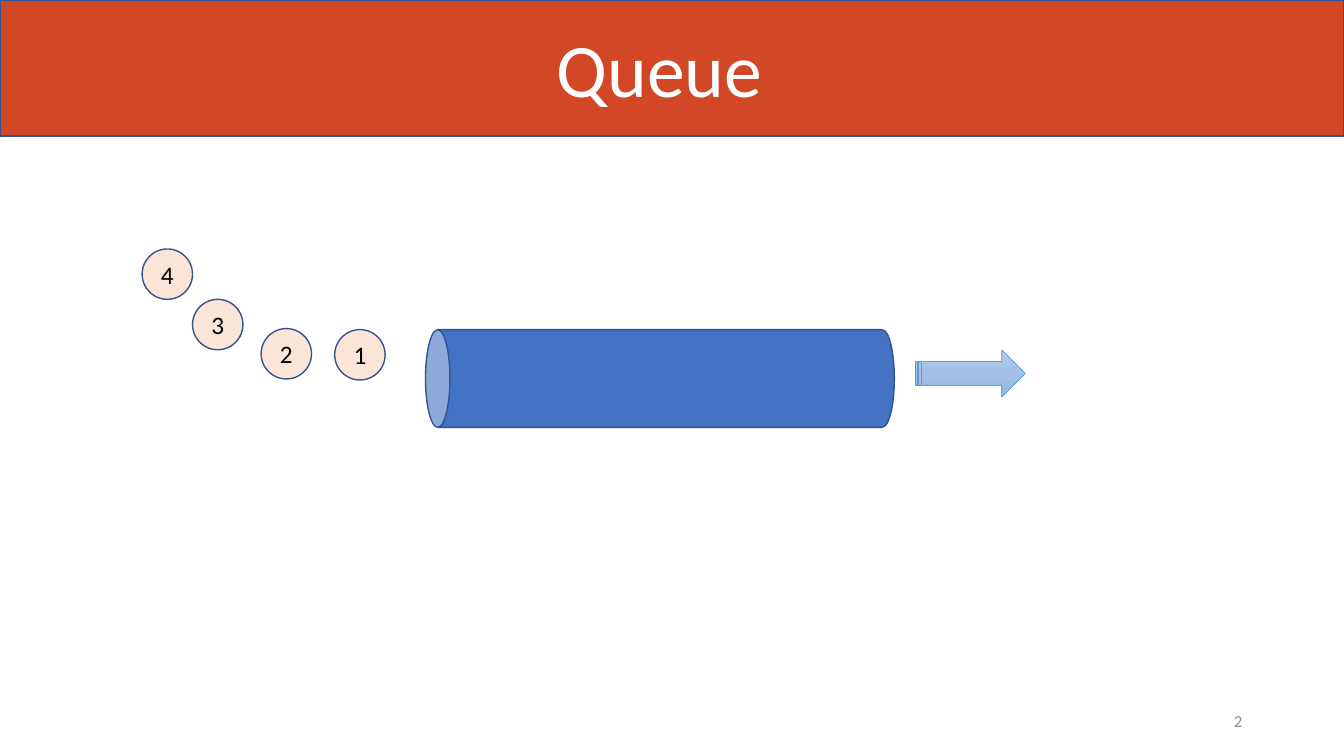
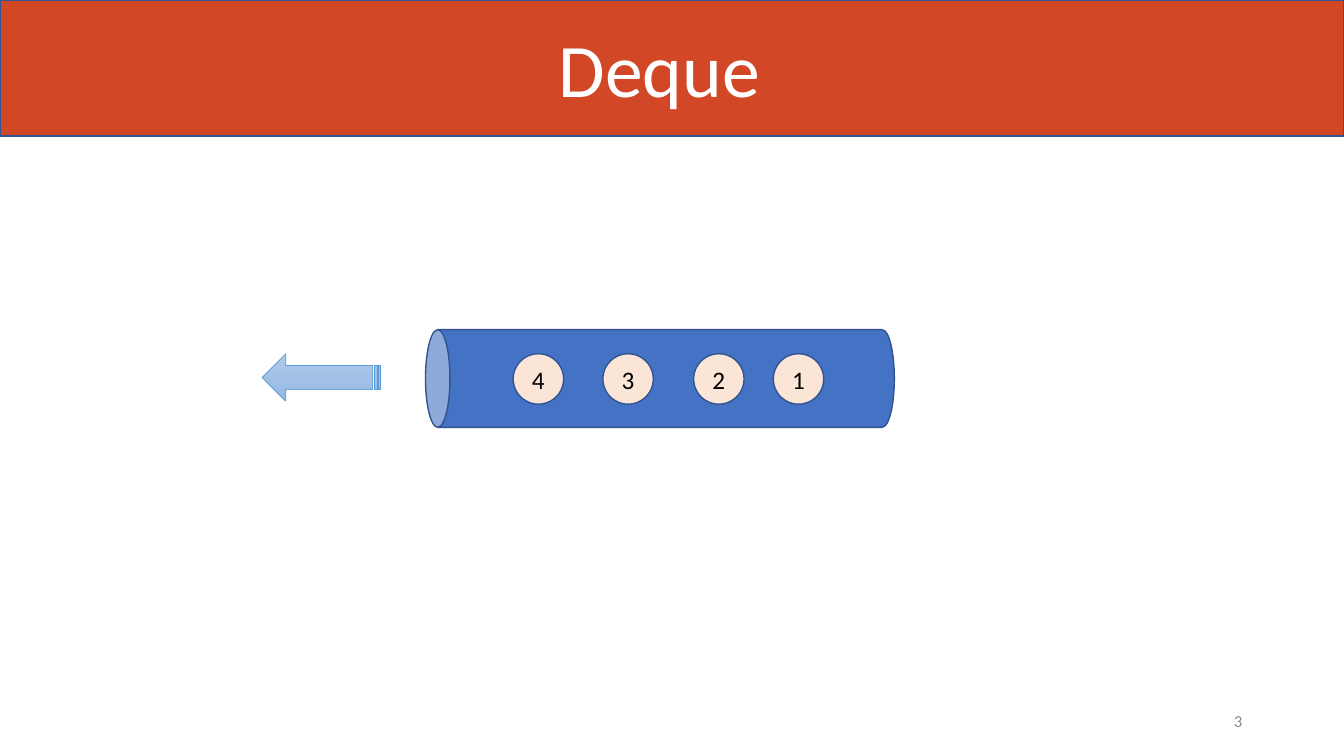
from copy import deepcopy
from dataclasses import dataclass

from pptx import Presentation
from pptx.dml.color import RGBColor
from pptx.enum.shapes import MSO_SHAPE
from pptx.enum.text import MSO_ANCHOR, MSO_AUTO_SIZE, PP_ALIGN
from pptx.oxml.ns import qn
from pptx.shapes.autoshape import Shape
from pptx.slide import Slide
from pptx.text.text import TextFrame
from pptx.util import Emu, Pt

RECTANGLE, CYLINDER, CIRCLE = MSO_SHAPE.RECTANGLE, MSO_SHAPE.CAN, MSO_SHAPE.OVAL
ARROW = MSO_SHAPE.STRIPED_RIGHT_ARROW
CENTER, RIGHT = PP_ALIGN.CENTER, PP_ALIGN.RIGHT
TOP, MIDDLE = MSO_ANCHOR.TOP, MSO_ANCHOR.MIDDLE
FIT_SHAPE = MSO_AUTO_SIZE.SHAPE_TO_FIT_TEXT

EMU_PER_PX = 9144
PAGE_WIDTH, PAGE_HEIGHT = 1333, 750
BAND_HEIGHT = 135
BALL_SIZE = 50
ARROW_HEIGHT = 47
TITLE_ONLY = 5
FONT = "Calibri"
COLORS = {
    "band": "D24726",
    "outline": "325491",
    "cylinder": "4472C4",
    "ball": "FBE5D6",
    "arrow line": "5B9BD5",
    "title": "FFFFFF",
    "label": "000000",
    "number": "8C8C8C",
}
ARROW_STOPS = ((0, "B1CBE9"), (0.5, "A3C1E5"), (1, "93B9E4"))


@dataclass(frozen=True)
class Box:
    left: int
    top: int
    width: int
    height: int

    def emu(self) -> tuple[Emu, Emu, Emu, Emu]:
        return px(self.left), px(self.top), px(self.width), px(self.height)


@dataclass(frozen=True)
class Ball:
    label: str
    left: int
    top: int


@dataclass(frozen=True)
class Page:
    title: str
    number: int
    balls: tuple[Ball, ...]
    arrow: Box
    points_left: bool = False


BAND = Box(0, 0, PAGE_WIDTH, BAND_HEIGHT)
TITLE = Box(541, 17, 226, 101)
NUMBER = Box(942, 695, 300, 40)
TUBE = Box(606, 143, 97, 465)

PAGES = (
    Page(
        "Queue",
        2,
        (Ball("1", 332, 327), Ball("2", 259, 326), Ball("3", 191, 297), Ball("4", 141, 247)),
        Box(908, 347, 109, ARROW_HEIGHT),
    ),
    Page(
        "Deque",
        3,
        tuple(Ball(str(i), left, 351) for i, left in enumerate((767, 688, 598, 509), 1)),
        Box(260, 351, 117, ARROW_HEIGHT),
        points_left=True,
    ),
)


def px(length: int) -> Emu:
    return Emu(length * EMU_PER_PX)


def rgb(name: str) -> RGBColor:
    return RGBColor.from_string(COLORS[name])


def write_text(frame: TextFrame, text: str, *, size: int, color: str,
               align: PP_ALIGN = CENTER, anchor: MSO_ANCHOR = MIDDLE,
               wrap: bool = True) -> None:
    frame.word_wrap = wrap
    frame.vertical_anchor = anchor
    para = frame.paragraphs[0]
    para.alignment = align
    span = para.add_run()
    span.text = text
    span.font.name = FONT
    span.font.size = Pt(size)
    span.font.color.rgb = rgb(color)


def add_outlined(slide: Slide, kind: MSO_SHAPE, box: Box, *, fill: str | None = None,
                 line: str = "outline", weight: float = 1) -> Shape:
    shape = slide.shapes.add_shape(kind, *box.emu())
    shape.shadow.inherit = False
    if fill:
        shape.fill.solid()
        shape.fill.fore_color.rgb = rgb(fill)
    shape.line.color.rgb = rgb(line)
    shape.line.width = Pt(weight)
    return shape


def add_header(slide: Slide, text: str) -> None:
    band = add_outlined(slide, RECTANGLE, BAND, fill="band")
    title = slide.shapes.title
    title.left, title.top, title.width, title.height = TITLE.emu()
    write_text(title.text_frame, text, size=54, color="title", anchor=TOP, wrap=False)
    title.text_frame.auto_size = FIT_SHAPE
    title.element.addprevious(band.element)


def add_number(slide: Slide, number: int) -> None:
    box = slide.shapes.add_textbox(*NUMBER.emu())
    write_text(box.text_frame, str(number), size=12, color="number", align=RIGHT)


def add_ball(slide: Slide, ball: Ball) -> None:
    box = Box(ball.left, ball.top, BALL_SIZE, BALL_SIZE)
    circle = add_outlined(slide, CIRCLE, box, fill="ball")
    write_text(circle.text_frame, ball.label, size=18, color="label")


def add_arrow(slide: Slide, box: Box, points_left: bool) -> None:
    arrow = add_outlined(slide, ARROW, box, line="arrow line", weight=0.5)
    arrow.fill.gradient()
    arrow.fill.gradient_angle = 270
    stop_list = arrow.element.spPr.find(".//" + qn("a:gsLst"))
    stop_list.append(deepcopy(stop_list[-1]))
    for stop, (position, color) in zip(arrow.fill.gradient_stops, ARROW_STOPS):
        stop.position = position
        stop.color.rgb = RGBColor.from_string(color)
    if points_left:
        arrow.element.spPr.find(qn("a:xfrm")).set("flipH", "1")


def main() -> None:
    deck = Presentation()
    deck.slide_width, deck.slide_height = px(PAGE_WIDTH), px(PAGE_HEIGHT)
    for page in PAGES:
        slide = deck.slides.add_slide(deck.slide_layouts[TITLE_ONLY])
        add_header(slide, page.title)
        add_number(slide, page.number)
        add_outlined(slide, CYLINDER, TUBE, fill="cylinder").rotation = 270
        for ball in page.balls:
            add_ball(slide, ball)
        add_arrow(slide, page.arrow, page.points_left)
    deck.save("out.pptx")


if __name__ == "__main__":
    main()
